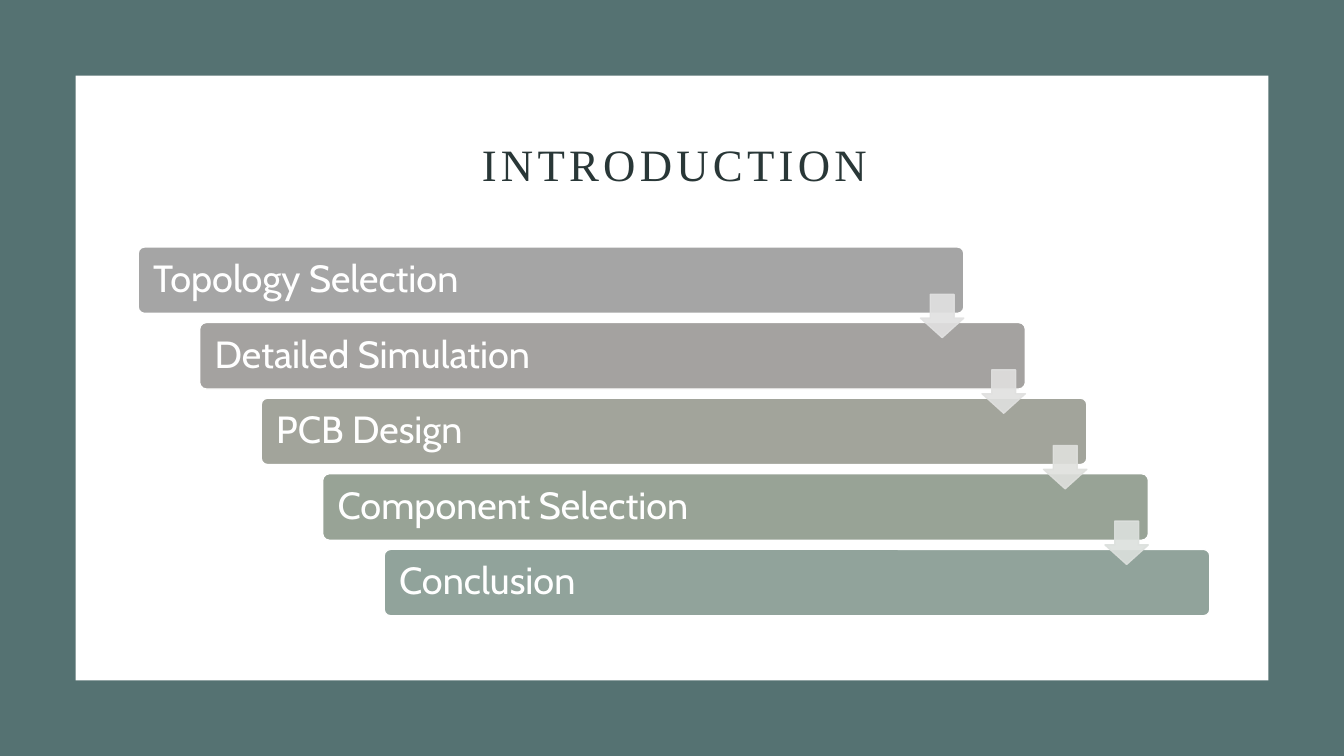
"""Build the introduction slide with its staircase of steps."""
from lxml.etree import SubElement
from pptx import Presentation
from pptx.dml.color import RGBColor
from pptx.enum.shapes import MSO_SHAPE as Shape
from pptx.enum.text import MSO_ANCHOR as Anchor, PP_ALIGN as Align
from pptx.oxml.ns import qn
from pptx.util import Inches, Pt

TEAL = RGBColor(0x55, 0x72, 0x72)
WHITE = RGBColor(0xFF, 0xFF, 0xFF)
DARK = RGBColor(0x29, 0x37, 0x37)
STEPS = [
    ("Topology Selection", RGBColor(0xA5, 0xA5, 0xA5)),
    ("Detailed Simulation", RGBColor(0xA4, 0xA2, 0xA0)),
    ("PCB Design", RGBColor(0xA2, 0xA4, 0x9B)),
    ("Component Selection", RGBColor(0x98, 0xA3, 0x96)),
    ("Conclusion", RGBColor(0x91, 0xA3, 0x9B)),
]
ARROW_COLORS = [
    RGBColor(0xE1, 0xE1, 0xE1),
    RGBColor(0xE0, 0xE0, 0xDF),
    RGBColor(0xDF, 0xE0, 0xDD),
    RGBColor(0xDC, 0xE0, 0xDD),
]
STEP_RIGHT, STEP_DOWN = 0.61, 0.75
TITLE_FONT = {"name": "Times New Roman", "size": Pt(32)}
STEP_FONT = {"name": "Cabin", "size": Pt(27)}


def set_values(target, values):
    """Set each named attribute of the target."""
    for name, value in values.items():
        setattr(target, name, value)


def add_box(slide, kind, place, fill, line=None, adjustments=()):
    """Add a flat filled shape at a place given in inches."""
    box = slide.shapes.add_shape(kind, *map(Inches, place))
    box.shadow.inherit = False
    box.fill.solid()
    box.fill.fore_color.rgb = fill
    if line is None:
        box.line.fill.background()
    else:
        box.line.color.rgb = line
        box.line.width = Pt(1)
    for index, value in enumerate(adjustments):
        box.adjustments[index] = value
    return box


def write_text(box, text, font, color, align):
    """Write one formatted, vertically centred paragraph."""
    frame = box.text_frame
    set_values(frame, {"word_wrap": True, "vertical_anchor": Anchor.MIDDLE})
    para = frame.paragraphs[0]
    set_values(para, {"alignment": align, "line_spacing": 0.9})
    span = para.add_run()
    span.text = text
    set_values(span.font, font)
    span.font.color.rgb = color
    return span


def add_title(slide, text):
    """Place the title placeholder in front of the panel."""
    title = slide.shapes.title
    place = {"left": 1.5, "top": 1.17, "width": 10.38, "height": 0.98}
    set_values(title, {name: Inches(size) for name, size in place.items()})
    span = write_text(title, text, TITLE_FONT, DARK, Align.CENTER)
    span.font._element.set("spc", "300")
    slide.shapes._spTree.append(title._element)


def add_step(slide, index, text, color):
    """Add one labelled bar of the staircase."""
    place = (1.37 + index * STEP_RIGHT, 2.45 + index * STEP_DOWN, 8.19, 0.66)
    bar = add_box(slide, Shape.ROUNDED_RECTANGLE, place, color, WHITE, [0.1])
    margins = {"margin_left": 0.13, "margin_right": 0.13,
               "margin_top": 0.05, "margin_bottom": 0.05}
    set_values(bar.text_frame, {name: Inches(size) for name, size in margins.items()})
    write_text(bar, text, STEP_FONT, WHITE, Align.LEFT)


def add_arrow(slide, index, color):
    """Add one translucent arrow leading to the next bar."""
    place = (9.13 + index * STEP_RIGHT, 2.92 + index * STEP_DOWN, 0.43, 0.43)
    arrow = add_box(slide, Shape.DOWN_ARROW, place, color, color, [0.55, 0.45])
    for tint in arrow._element.spPr.iter(qn("a:srgbClr")):
        SubElement(tint, qn("a:alpha"), val="90000")


def main():
    """Build and save the deck."""
    deck = Presentation()
    set_values(deck, {"slide_width": Inches(13.33), "slide_height": Inches(7.5)})
    page = deck.slides.add_slide(deck.slide_layouts[5])
    add_box(page, Shape.RECTANGLE, (0, 0, 13.33, 7.5), TEAL)
    add_box(page, Shape.RECTANGLE, (0.75, 0.75, 11.83, 6), WHITE)
    add_title(page, "INTRODUCTION")
    for index, (text, color) in enumerate(STEPS):
        add_step(page, index, text, color)
    for index, color in enumerate(ARROW_COLORS):
        add_arrow(page, index, color)
    deck.save("out.pptx")


if __name__ == "__main__":
    main()
